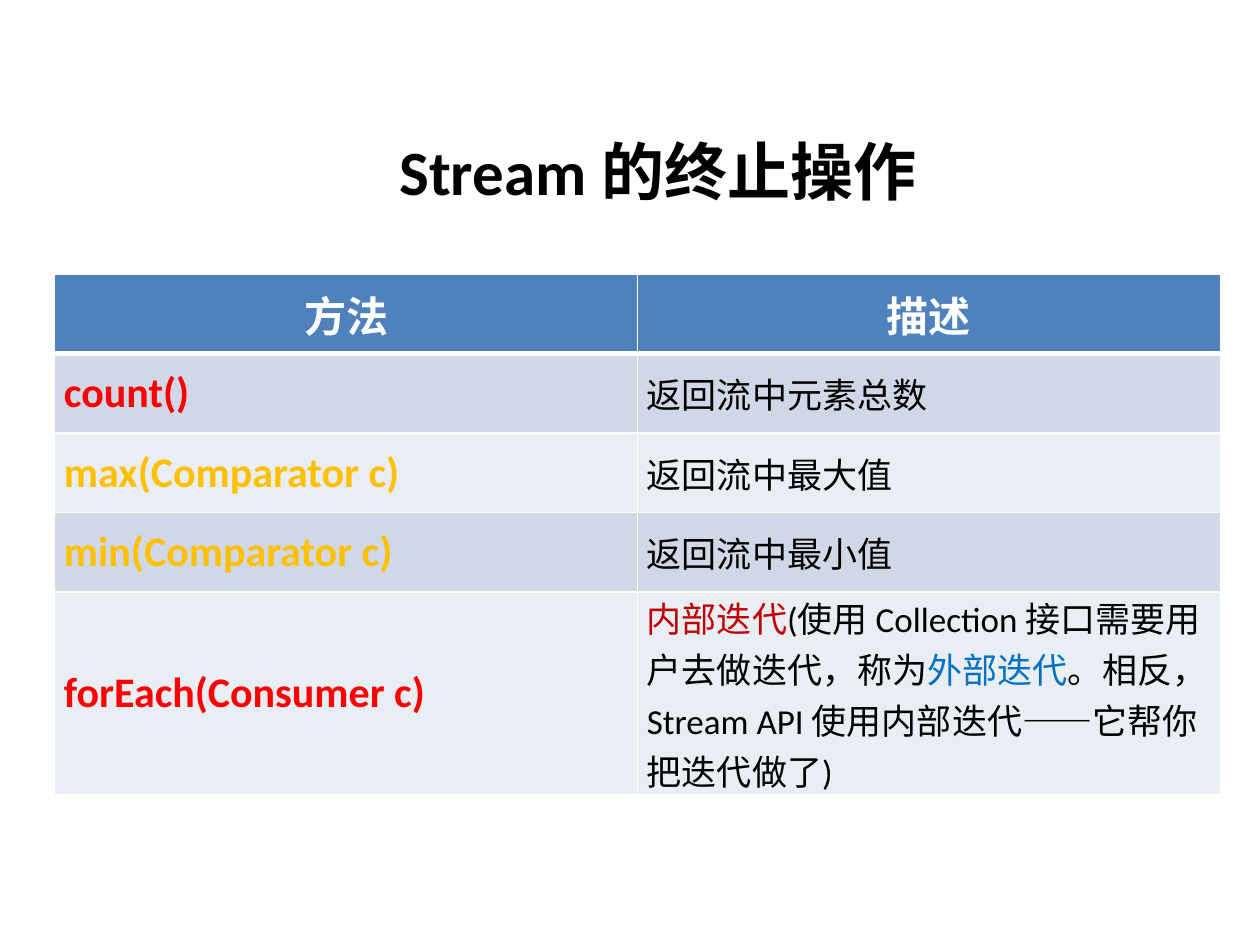
from lxml.etree import SubElement
from pptx import Presentation
from pptx.dml.color import RGBColor
from pptx.enum.text import MSO_ANCHOR as Anchor, PP_ALIGN as Align
from pptx.oxml.ns import qn
from pptx.util import Cm, Pt

COLORS = {
    "black": "000000", "white": "FFFFFF", "header": "4F81BD",
    "odd": "D0D8E8", "even": "E9EDF4", "red": "FF0000",
    "gold": "FFC000", "crimson": "C00000", "blue": "0070C0",
}
FONT = "Calibri"
HEADERS = ["方法", "描述"]
METHODS = [
    ("count()", "red", [("返回流中元素总数", "black")]),
    ("max(Comparator c)", "gold", [("返回流中最大值", "black")]),
    ("min(Comparator c)", "gold", [("返回流中最小值", "black")]),
    ("forEach(Consumer c)", "red", [
        ("内部迭代", "crimson"),
        ("(使用 Collection 接口需要用户去做迭代，称为", "black"),
        ("外部迭代", "blue"),
        ("。相反，Stream API 使用内部迭代——它帮你把迭代做了)", "black"),
    ]),
]


def color(name):
    return RGBColor.from_string(COLORS[name])


def add_spans(para, spans, size, bold):
    for text, shade in spans:
        span = para.add_run()
        span.text = text
        span.font.name = FONT
        span.font.size = Pt(size)
        span.font.bold = bold
        span.font.color.rgb = color(shade)


def set_borders(cell, widths):
    properties = cell._tc.get_or_add_tcPr()
    for index, (side, width) in enumerate(widths.items()):
        line = SubElement(properties, qn(f"a:ln{side}"), w=str(Pt(width)))
        fill = SubElement(line, qn("a:solidFill"))
        SubElement(fill, qn("a:srgbClr"), val=COLORS["white"])
        properties.insert(index, line)


def fill_cell(cell, spans, size, bold, fill, is_header=False):
    cell.fill.solid()
    cell.fill.fore_color.rgb = color(fill)
    cell.vertical_anchor = Anchor.MIDDLE
    para = cell.text_frame.paragraphs[0]
    if is_header:
        para.alignment = Align.CENTER
    else:
        cell.margin_left = cell.margin_right = Cm(0.19)
        cell.margin_top = cell.margin_bottom = 0
    add_spans(para, spans, size, bold)


def add_title(page, left, top, width, height):
    box = page.shapes.add_textbox(left, top, width, height)
    frame = box.text_frame
    frame.word_wrap = True
    frame.vertical_anchor = Anchor.MIDDLE
    para = frame.paragraphs[0]
    para.alignment = Align.CENTER
    add_spans(para, [("Stream 的终止操作", "black")], 36, True)


def add_method_table(page, left, top, width, row_height, last_height):
    row_count = len(METHODS) + 1
    table = page.shapes.add_table(
        row_count, len(HEADERS), left, top, width, row_height * row_count
    ).table
    table.rows[row_count - 1].height = last_height
    for column, header in enumerate(HEADERS):
        fill_cell(table.cell(0, column), [(header, "white")], 24, True, "header", True)
    for row, (method, shade, description) in enumerate(METHODS, 1):
        fill = "odd" if row % 2 else "even"
        fill_cell(table.cell(row, 0), [(method, shade)], 24, True, fill)
        fill_cell(table.cell(row, 1), description, 20, False, fill)
    for row in range(row_count):
        for cell in table.rows[row].cells:
            top_width = 3 if row == 1 else 1
            bottom_width = 3 if row == 0 else 1
            set_borders(cell, {"L": 1, "R": 1, "T": top_width, "B": bottom_width})


deck = Presentation()
deck.slide_width, deck.slide_height = Cm(25.4), Cm(19.05)
page = deck.slides.add_slide(deck.slide_layouts[6])
add_title(page, Cm(7.11), Cm(2.32), Cm(12.3), Cm(2.21))
add_method_table(page, Cm(1.1), Cm(5.53), Cm(23.5), Cm(1.6), Cm(4.1))
deck.save("out.pptx")
